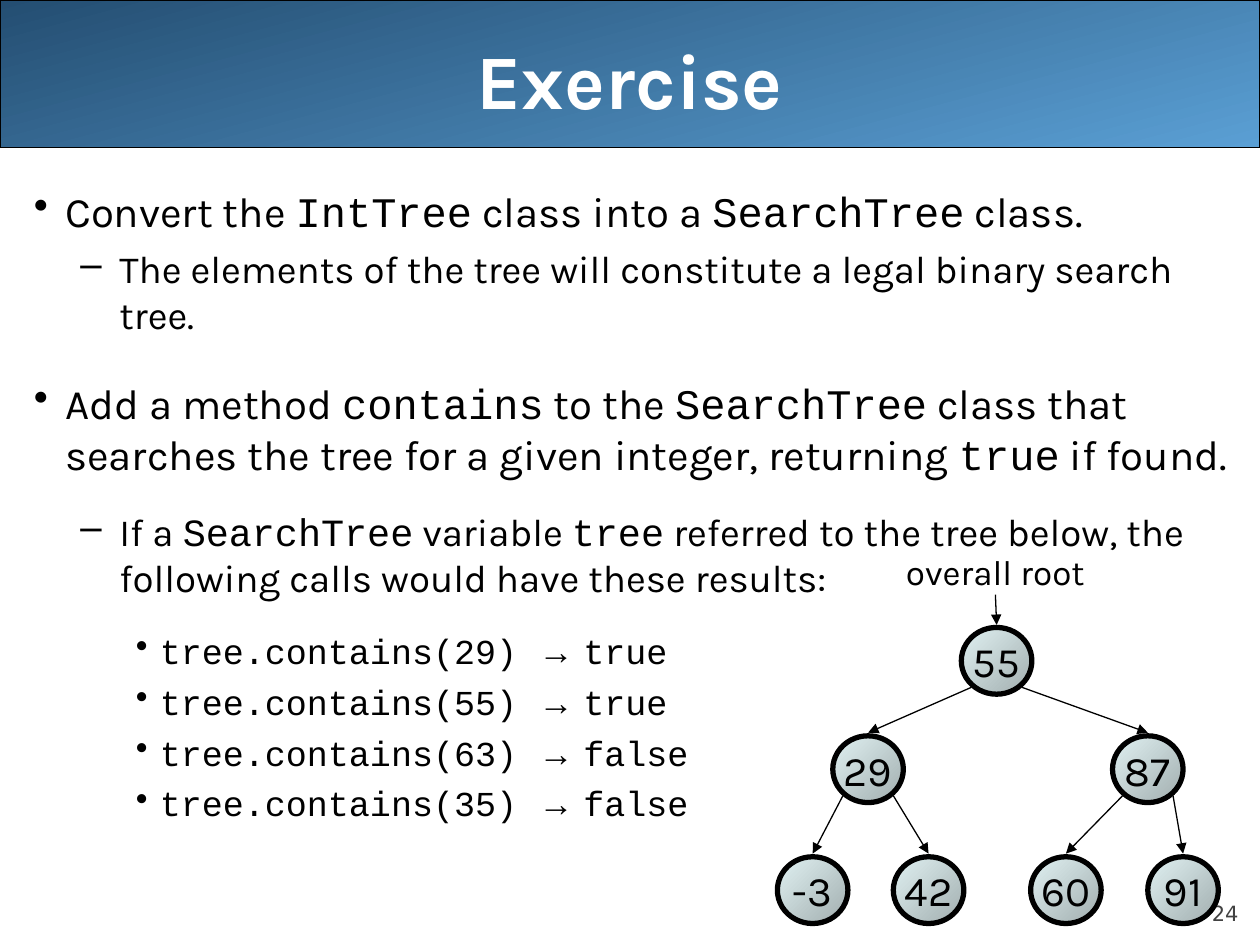
from dataclasses import dataclass

from lxml import etree
from pptx import Presentation
from pptx.dml.color import RGBColor
from pptx.enum.shapes import MSO_CONNECTOR, MSO_SHAPE
from pptx.enum.text import MSO_ANCHOR, PP_ALIGN
from pptx.oxml.ns import qn
from pptx.util import Inches, Pt

LINE = MSO_CONNECTOR.STRAIGHT
RECT, OVAL = MSO_SHAPE.RECTANGLE, MSO_SHAPE.OVAL
TOP, MIDDLE, BOTTOM = MSO_ANCHOR.TOP, MSO_ANCHOR.MIDDLE, MSO_ANCHOR.BOTTOM
LEFT, CENTER, RIGHT = PP_ALIGN.LEFT, PP_ALIGN.CENTER, PP_ALIGN.RIGHT

HUES = {
    "ink": "000000", "paper": "FFFFFF", "page": "424242",
    "navy": "244E72", "sky": "5A9FD4", "shade": "A1ADAE", "light": "E1F2F3",
}
SANS, CODE, ARROW, DIGIT = "Karla", "Courier New", "Arial", "DejaVu Sans"

# The grid has 100 columns and 75 rows
COLS, ROWS = 100, 75
CELL = Inches(0.1)


@dataclass
class Level:
    size: float
    left: float
    hang: float
    mark: str
    font: str


@dataclass
class Item:
    level: int
    gap: float
    text: str  # backticks enclose code


@dataclass
class Node:
    text: str
    col: float
    row: float
    kids: tuple = ()


LEVELS = [
    Level(24, 0.25, 0.25, "•", SANS),
    Level(22, 0.68, 0.31, "–", SANS),
    Level(20, 1, 0.19, "•", ARROW),
]
CALLS = [(29, "true"), (55, "true"), (63, "false"), (35, "false")]
ITEMS = [
    Item(0, 0, "Convert the `IntTree` class into a `SearchTree` class."),
    Item(1, 5.5, "The elements of the tree will constitute a legal binary search tree."),
    Item(0, 23, "Add a method `contains` to the `SearchTree` class that searches "
                "the tree for a given integer, returning `true` if found."),
    Item(1, 17, "If a `SearchTree` variable `tree` referred to the tree below, "
                "the following calls would have these results:"),
] + [
    Item(2, 5 if i else 16.5, f"`tree.contains({key}) `→ `{found}`")
    for i, (key, found) in enumerate(CALLS)
]

# Tree rows and node size, in grid cells
TIERS = (52.45, 61.05, 70.65)
WIDE, HIGH = 5.6, 5.3
TREE = Node("55", 79.1, TIERS[0], (
    Node("29", 68.9, TIERS[1], (
        Node("-3", 64.5, TIERS[2]), Node("42", 73.7, TIERS[2]))),
    Node("87", 91.1, TIERS[1], (
        Node("60", 84.6, TIERS[2]), Node("91", 93.9, TIERS[2]))),
))


def cells(*counts: float) -> list:
    return [round(n * CELL) for n in counts]


def hue(name: str) -> RGBColor:
    return RGBColor.from_string(HUES[name])


def style(para, size: float, tint: str, font: str, align=CENTER, bold=False) -> None:
    para.alignment = align
    para.font.size = Pt(size)
    para.font.name = font
    para.font.bold = bold
    para.font.color.rgb = hue(tint)


def blend(shape, start: str, end: str, angle: float, width: float) -> None:
    shape.shadow.inherit = False
    shape.fill.gradient()
    shape.fill.gradient_angle = angle
    for stop, name in zip(shape.fill.gradient_stops, (start, end)):
        stop.color.rgb = hue(name)
    shape.line.color.rgb = hue("ink")
    shape.line.width = Pt(width)


def label(slide, box: tuple, text: str, size: float, tint: str, font: str,
          align=CENTER, anchor=TOP, pad: float = 0.5) -> None:
    frame = slide.shapes.add_textbox(*cells(*box)).text_frame
    frame.margin_left = frame.margin_right = cells(pad * 2)[0]
    frame.margin_top = frame.margin_bottom = cells(pad)[0]
    frame.vertical_anchor = anchor
    frame.word_wrap = False
    frame.text = text
    style(frame.paragraphs[0], size, tint, font, align)


def bullet(para, level: Level) -> None:
    props = para._p.get_or_add_pPr()
    props.set("marL", str(Inches(level.left)))
    props.set("indent", str(-Inches(level.hang)))
    tint = etree.SubElement(props, qn("a:buClr"))
    etree.SubElement(tint, qn("a:srgbClr"), val=HUES["ink"])
    etree.SubElement(props, qn("a:buChar"), char=level.mark)


def body(slide, box: tuple) -> None:
    frame = slide.shapes.add_textbox(*cells(*box)).text_frame
    frame.word_wrap = True
    for i, item in enumerate(ITEMS):
        para = frame.add_paragraph() if i else frame.paragraphs[0]
        level = LEVELS[item.level]
        para.level = item.level
        bullet(para, level)
        para.space_before = Pt(item.gap)
        style(para, level.size, "ink", level.font, LEFT)
        for j, part in enumerate(item.text.split("`")):
            if part:
                run = para.add_run()
                run.text = part
                run.font.name = CODE if j % 2 else level.font


def arrow(slide, start: tuple, end: tuple) -> None:
    link = slide.shapes.add_connector(LINE, *cells(*start, *end))
    link.line.color.rgb = hue("ink")
    link.line.width = Pt(0.75)
    etree.SubElement(link.line._get_or_add_ln(), qn("a:tailEnd"), type="triangle")
    etree.SubElement(link._element.spPr, qn("a:effectLst"))


def draw(slide, node: Node) -> None:
    box = (node.col - WIDE / 2, node.row - HIGH / 2, WIDE, HIGH)
    oval = slide.shapes.add_shape(OVAL, *cells(*box))
    blend(oval, "shade", "light", 135, 3)
    frame = oval.text_frame
    frame.word_wrap = False
    frame.vertical_anchor = MIDDLE
    frame.text = node.text
    style(frame.paragraphs[0], 24, "ink", SANS)
    for kid in node.kids:
        draw(slide, kid)
        side = 2 if kid.col > node.col else -2
        arrow(slide, (node.col + side, node.row + 2.1), (kid.col, kid.row - 2.9))


def main() -> None:
    deck = Presentation()
    deck.slide_width, deck.slide_height = cells(COLS, ROWS)
    slide = deck.slides.add_slide(deck.slide_layouts[5])

    # Header band, behind the title
    band = slide.shapes.add_shape(RECT, *cells(0, 0, COLS, 11.7))
    blend(band, "navy", "sky", 285, 0.75)
    slide.shapes._spTree.insert(2, band._element)

    # Title
    title = slide.shapes.title
    title.left, title.top, title.width, title.height = cells(5, 0, 90, 12.5)
    title.text_frame.text = "Exercise"
    title.text_frame.vertical_anchor = MIDDLE
    style(title.text_frame.paragraphs[0], 44, "paper", SANS, bold=True)

    # Page number and exercise text
    label(slide, (90, 69.5, 8.3, 4), "24", 12, "page", DIGIT, RIGHT, BOTTOM, 0)
    body(slide, (1.7, 14.2, 98.3, 56.7))

    # Search tree
    draw(slide, TREE)
    label(slide, (70.5, 43.2, 17, 4.4), "overall root", 20, "ink", SANS)
    arrow(slide, (79, 47.2), (TREE.col, 49.6))

    deck.save("out.pptx")


if __name__ == "__main__":
    main()
